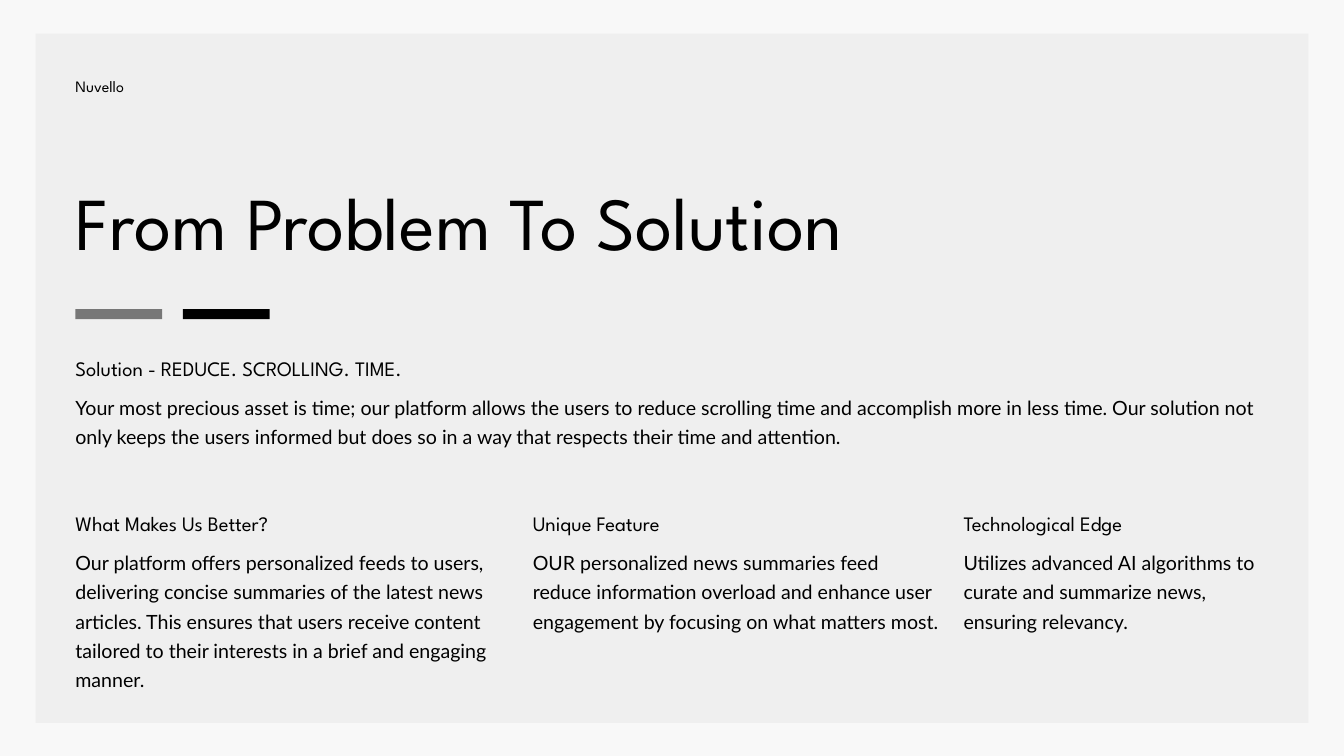
import pptx
import pptx.dml.color
import pptx.enum.shapes
import pptx.enum.text
import pptx.oxml
import pptx.oxml.ns
import pptx.util
from pptx.util import Cm

BACKGROUND = pptx.dml.color.RGBColor(0xF8, 0xF8, 0xF8)
PANEL = pptx.dml.color.RGBColor(0xEF, 0xEF, 0xEF)
BLACK = pptx.dml.color.RGBColor(0x00, 0x00, 0x00)

HEADING_FONT = "League Spartan"
BODY_FONT = "Lato"
MARGIN = 2.85
COLUMNS_TOP = 19.18


def add_rectangle(slide, box, color, opacity=100):
    shape = slide.shapes.add_shape(
        pptx.enum.shapes.MSO_SHAPE.RECTANGLE, *map(Cm, box))
    shape.shadow.inherit = False
    shape.line.fill.background()
    shape.fill.solid()
    shape.fill.fore_color.rgb = color
    if opacity < 100:
        color_element = shape.element.find(".//" + pptx.oxml.ns.qn("a:srgbClr"))
        color_element.append(pptx.oxml.parse_xml(
            f'<a:alpha {pptx.oxml.ns.nsdecls("a")} val="{opacity * 1000}"/>'))


def write_text(shape, text, font, size, spacing):
    frame = shape.text_frame
    frame.word_wrap = True
    frame.auto_size = pptx.enum.text.MSO_AUTO_SIZE.NONE
    frame.vertical_anchor = pptx.enum.text.MSO_ANCHOR.TOP
    frame.margin_left = frame.margin_right = 0
    frame.margin_top = frame.margin_bottom = 0
    frame.text = text
    paragraph = frame.paragraphs[0]
    paragraph.alignment = pptx.enum.text.PP_ALIGN.LEFT
    paragraph.line_spacing = pptx.util.Pt(spacing)
    paragraph.font.name = font
    paragraph.font.size = pptx.util.Pt(size)
    paragraph.font.color.rgb = BLACK


def add_text(slide, box, text, font, size, spacing):
    shape = slide.shapes.add_textbox(*map(Cm, box))
    write_text(shape, text, font, size, spacing)


def add_title(slide, box, text):
    title = slide.shapes.title
    title.left, title.top, title.width, title.height = map(Cm, box)
    write_text(title, text, HEADING_FONT, 80, 88)
    title.element.getparent().append(title.element)


def add_bars(slide, box):
    left, top, width, height = box
    bar_width = 3.28
    add_rectangle(slide, (left, top, bar_width, height), BLACK, opacity=50)
    add_rectangle(slide, (left + width - bar_width, top, bar_width, height), BLACK)


def add_section(slide, box, heading, body):
    left, top, width, height = box
    body_offset = 1.42
    add_text(slide, (left, top, width, 1.04), heading, HEADING_FONT, 22, 30.8)
    add_text(slide, (left, top + body_offset, width, height - body_offset),
             body, BODY_FONT, 21, 31.5)


def main():
    presentation = pptx.Presentation()
    presentation.slide_width = Cm(50.8)
    presentation.slide_height = Cm(28.58)
    slide = presentation.slides.add_slide(
        presentation.slide_layouts.get_by_name("Title Only"))
    slide.background.fill.solid()
    slide.background.fill.fore_color.rgb = BACKGROUND

    add_rectangle(slide, (1.35, 1.27, 48.11, 26.06), PANEL)
    add_text(slide, (MARGIN, 2.77, 16.43, 0.79), "Nuvello", HEADING_FONT, 17, 23.8)
    add_title(slide, (MARGIN, 6.93, 40.92, 3.2), "From Problem To Solution")
    add_bars(slide, (MARGIN, 11.69, 7.34, 0.38))

    add_section(
        slide, (MARGIN, 13.31, 44.7, 4.67),
        "Solution - REDUCE. SCROLLING. TIME.",
        "Your most precious asset is time; our platform allows the users to "
        "reduce scrolling time and accomplish more in less time. Our solution "
        "not only keeps the users informed but does so in a way that respects "
        "their time and attention.")

    columns = [
        (MARGIN, 16.43, 6.88, "What Makes Us Better?",
         "Our platform offers personalized feeds to users, delivering concise "
         "summaries of the latest news articles. This ensures that users receive "
         "content tailored to their interests in a brief and engaging manner."),
        (20.14, 15.44, 5.79, "Unique Feature",
         "OUR personalized news summaries feed reduce information overload and "
         "enhance user engagement by focusing on what matters most."),
        (36.42, 11.51, 4.67, "Technological Edge",
         "Utilizes advanced AI algorithms to curate and summarize news, "
         "ensuring relevancy."),
    ]
    for left, width, height, heading, body in columns:
        add_section(slide, (left, COLUMNS_TOP, width, height), heading, body)

    presentation.save("out.pptx")


if __name__ == "__main__":
    main()
